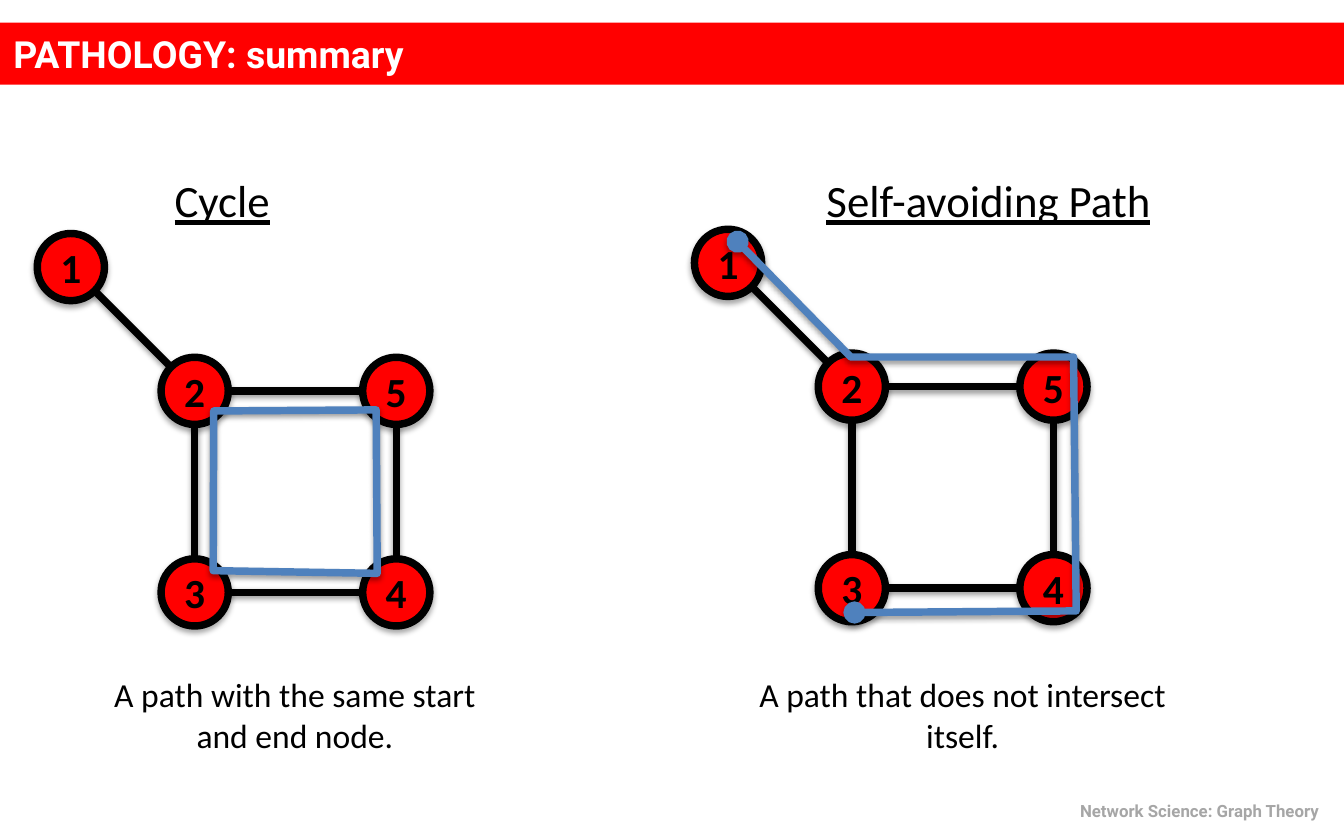
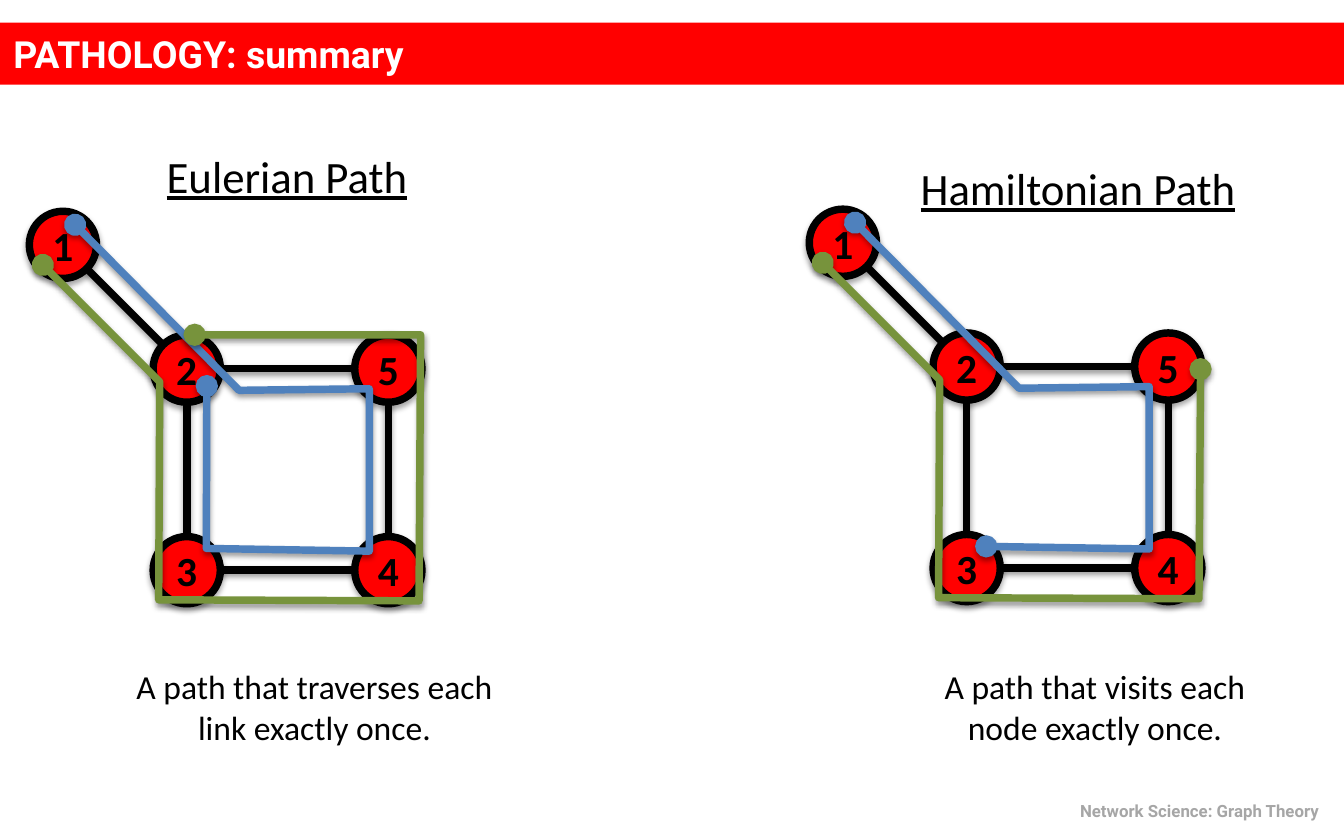
from math import hypot

from lxml import etree
from pptx import Presentation
from pptx import util as u
from pptx.dml.color import RGBColor
from pptx.enum import shapes, text
from pptx.oxml.ns import qn

COLORS = {
    "red": "FF0000",
    "white": "FFFFFF",
    "black": "000000",
    "grey": "A6A6A6",
    "blue": "4F81BD",
    "green": "77933C",
}
LINE_WIDTH = u.Pt(4)

# Graph geometry in cm, measured from the centre of node 2
NODE_SIZE = 1.27
SIDE = 3.81
NODES = {
    "1": (-2.34, -2.34),
    "2": (0, 0),
    "3": (0, SIDE),
    "4": (SIDE, SIDE),
    "5": (SIDE, 0),
}
EDGES = ["12", "23", "34", "45", "52"]

# Trails along the graph, from the same centre
CYCLE = [(0.36, 0.38), (3.43, 0.36), (3.45, 3.45), (0.35, 3.4)]
SELF_AVOIDING = [(-2.16, -2.74), (-0.02, -0.56), (4.19, -0.56),
                 (4.24, 4.24), (0.05, 4.27)]
INNER = [(-2.11, -2.72), (0.99, 0.41), (3.45, 0.38), (3.45, 3.45), (0.37, 3.4)]
OUTER = [(-2.72, -1.96), (-0.51, 0.25), (-0.53, 4.37), (4.39, 4.39)]

# Each panel: centre of node 2, heading, caption, trails (colour, points, closed)
# Heading and caption: text, then left, top, width, height
SLIDES = [
    [
        {
            "origin": (3.68, 7.39),
            "heading": ("Cycle", 3.05, 3.15, 6.76, 1.27),
            "caption": ("A path with the same start and end node.",
                        1.37, 12.62, 8.41, 1.8),
            "trails": [("blue", CYCLE, True)],
        },
        {
            "origin": (16.1, 7.31),
            "heading": ("Self-avoiding Path", 15.37, 3.15, 7.8, 1.27),
            "caption": ("A path that does not intersect itself.",
                        13.94, 12.62, 8.51, 1.8),
            "trails": [("blue", SELF_AVOIDING, False)],
        },
    ],
    [
        {
            "origin": (3.53, 6.97),
            "heading": ("Eulerian Path", 2.9, 2.69, 5.72, 1.27),
            "caption": ("A path that traverses each link exactly once.",
                        1.83, 12.47, 8.23, 1.8),
            "trails": [
                ("blue", INNER + [(0.38, 0.33)], False),
                ("green", OUTER + [(4.42, -0.64), (0.15, -0.64)], False),
            ],
        },
        {
            "origin": (18.27, 6.93),
            "heading": ("Hamiltonian Path", 17.15, 2.92, 7.9, 1.27),
            "caption": ("A path that visits each node exactly once.",
                        17.15, 12.47, 7.09, 1.8),
            "trails": [
                ("blue", INNER, False),
                ("green", OUTER + [(4.42, 0.05)], False),
            ],
        },
    ],
]


def color(name):
    return RGBColor.from_string(COLORS[name])


def format_text(text_frame, content, size, font_name, font_color, align,
                bold=False, underline=False):
    text_frame.text = content
    paragraph = text_frame.paragraphs[0]
    paragraph.alignment = align
    paragraph.space_before = u.Pt(0)
    font = paragraph.runs[0].font
    font.size = u.Pt(size)
    font.name = font_name
    font.bold = bold
    font.underline = underline
    font.color.rgb = color(font_color)


def add_text(slide, content, left, top, width, height, size, **style):
    box = slide.shapes.add_textbox(u.Cm(left), u.Cm(top), u.Cm(width), u.Cm(height))
    box.text_frame.word_wrap = True
    format_text(box.text_frame, content, size, **style)


def set_line(shape, name):
    shape.line.color.rgb = color(name)
    shape.line.width = LINE_WIDTH


def set_shadow(shape, opacity, distance):
    """Soft black shadow straight below; call after fill and line are set."""
    effects = etree.SubElement(shape._element.spPr, qn("a:effectLst"))
    shadow = etree.SubElement(
        effects, qn("a:outerShdw"), blurRad=str(u.Pt(3.1)),
        dist=str(u.Pt(distance)), dir="5400000", rotWithShape="0")
    black = etree.SubElement(shadow, qn("a:srgbClr"), val=COLORS["black"])
    etree.SubElement(black, qn("a:alpha"), val=str(opacity * 1000))


def add_edge(group, start, end):
    """Join two node centres, trimmed to the rims of the nodes."""
    dx, dy = end[0] - start[0], end[1] - start[1]
    trim = NODE_SIZE / 2 / hypot(dx, dy)
    edge = group.shapes.add_connector(
        shapes.MSO_CONNECTOR.STRAIGHT,
        u.Cm(start[0] + dx * trim), u.Cm(start[1] + dy * trim),
        u.Cm(end[0] - dx * trim), u.Cm(end[1] - dy * trim))
    set_line(edge, "black")
    set_shadow(edge, 38, 1.6)


def add_node(group, label, center):
    node = group.shapes.add_shape(
        shapes.MSO_SHAPE.OVAL,
        u.Cm(center[0] - NODE_SIZE / 2), u.Cm(center[1] - NODE_SIZE / 2),
        u.Cm(NODE_SIZE), u.Cm(NODE_SIZE))
    node.fill.solid()
    node.fill.fore_color.rgb = color("red")
    set_line(node, "black")
    set_shadow(node, 35, 1.8)
    frame = node.text_frame
    frame.margin_left = frame.margin_right = 0
    frame.margin_top = frame.margin_bottom = 0
    frame.vertical_anchor = text.MSO_ANCHOR.MIDDLE
    format_text(frame, label, 22.2, "Calibri", "black", text.PP_ALIGN.CENTER,
                bold=True)


def add_trail(group, name, points, closed):
    points = [(u.Cm(x), u.Cm(y)) for x, y in points]
    builder = group.shapes.build_freeform(*points[0])
    builder.add_line_segments(points[1:], close=closed)
    trail = builder.convert_to_shape()
    trail.fill.background()
    set_line(trail, name)
    line = trail._element.spPr.find(qn("a:ln"))
    for end in ("a:headEnd", "a:tailEnd"):
        etree.SubElement(line, qn(end), type="oval")
    set_shadow(trail, 38, 1.6)


def add_graph(slide, origin, trails):
    def place(point):
        return origin[0] + point[0], origin[1] + point[1]

    group = slide.shapes.add_group_shape()
    for start, end in EDGES:
        add_edge(group, place(NODES[start]), place(NODES[end]))
    for label, center in NODES.items():
        add_node(group, label, place(center))
    for name, points, closed in trails:
        add_trail(group, name, [place(point) for point in points], closed)


def add_panel(slide, panel):
    add_graph(slide, panel["origin"], panel["trails"])
    add_text(slide, *panel["heading"], size=24, font_name="Calibri",
             font_color="black", align=text.PP_ALIGN.LEFT, underline=True)
    add_text(slide, *panel["caption"], size=18, font_name="Calibri",
             font_color="black", align=text.PP_ALIGN.CENTER)


def add_base_slide(presentation):
    """Title-only slide with the red title band and the footer."""
    slide = presentation.slides.add_slide(presentation.slide_layouts[5])
    title = slide.shapes.title
    title.left, title.top = u.Cm(0), u.Cm(0.43)
    title.width, title.height = presentation.slide_width, u.Cm(1.17)
    title.fill.solid()
    title.fill.fore_color.rgb = color("red")
    title.text_frame.auto_size = text.MSO_AUTO_SIZE.NONE
    title.text_frame.vertical_anchor = text.MSO_ANCHOR.MIDDLE
    format_text(title.text_frame, "PATHOLOGY: summary", 20, "Roboto", "white",
                text.PP_ALIGN.LEFT, bold=True)
    add_text(slide, "Network Science: Graph Theory", 17.98, 15.01, 7.19, 0.64,
             size=9, font_name="Roboto", font_color="grey",
             align=text.PP_ALIGN.RIGHT, bold=True)
    return slide


def main():
    presentation = Presentation()
    presentation.slide_width = u.Cm(25.4)
    presentation.slide_height = u.Cm(15.88)
    for panels in SLIDES:
        slide = add_base_slide(presentation)
        for panel in panels:
            add_panel(slide, panel)
    presentation.save("out.pptx")


if __name__ == "__main__":
    main()
